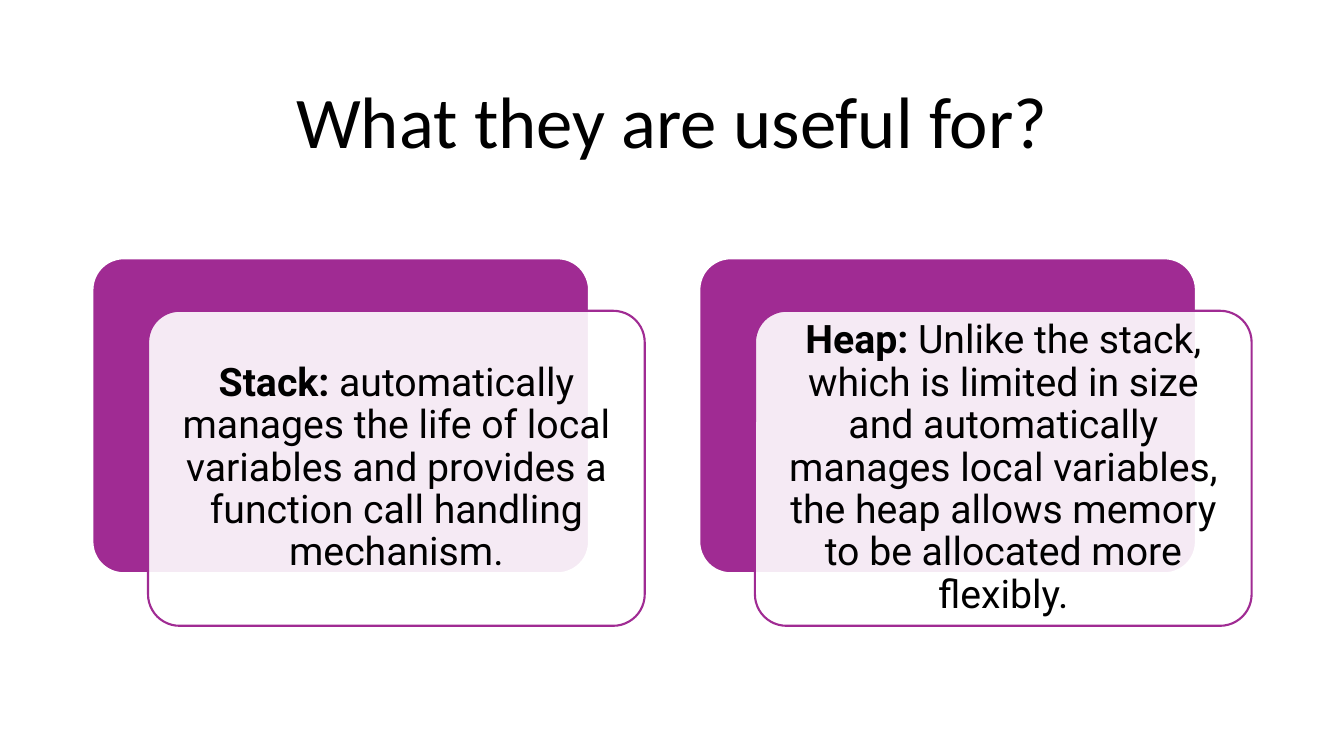
import pptx
import pptx.util
import pptx.dml.color
import pptx.enum.shapes
import pptx.enum.text
import pptx.oxml.ns
import lxml.etree

PX = 9525  # EMU in one px, 96 px to the inch
COLORS = {"purple": "A02B93", "white": "FFFFFF", "black": "000000"}

TITLE_BOX = (88, 59, 1104, 119)
CARDS_BOX = (88, 246, 1104, 350)
CARD_GAP = 52
FRONT_SHIFT = (53, 50)
TEXT_INSET = 9
TEXT_MARGIN = 11

CARDS = [
    ("Stack: ", "automatically manages the life of local variables and "
                "provides a function call handling mechanism."),
    ("Heap: ", "Unlike the stack, which is limited in size and automatically "
               "manages local variables, the heap allows memory to be "
               "allocated more flexibly."),
]


def emu(*lengths):
    return [pptx.util.Emu(n * PX) for n in lengths]


def rgb(name):
    return pptx.dml.color.RGBColor.from_string(COLORS[name])


def add_panel(s, box, fill, line, opacity=100):
    """Rounded rectangle, optionally see-through."""
    sp = s.shapes.add_shape(pptx.enum.shapes.MSO_SHAPE.ROUNDED_RECTANGLE, *emu(*box))
    sp.adjustments[0] = 0.1
    sp.shadow.inherit = False
    sp.fill.solid()
    sp.fill.fore_color.rgb = rgb(fill)
    sp.line.color.rgb = rgb(line)
    sp.line.width = pptx.util.Pt(1.5)
    if opacity < 100:
        qn = pptx.oxml.ns.qn
        color = sp._element.spPr.find(qn("a:solidFill")).find(qn("a:srgbClr"))
        lxml.etree.SubElement(color, qn("a:alpha"), val=str(opacity * 1000))


def add_text(s, box, runs, font, margin):
    """Centred paragraph; runs are (text, bold) pairs."""
    tf = s.shapes.add_textbox(*emu(*box)).text_frame
    frame_format = {"word_wrap": True,
                    "vertical_anchor": pptx.enum.text.MSO_ANCHOR.MIDDLE}
    for side in ("left", "top", "right", "bottom"):
        frame_format["margin_" + side] = emu(margin)[0]
    for name, value in frame_format.items():
        setattr(tf, name, value)
    p = tf.paragraphs[0]
    p.alignment = pptx.enum.text.PP_ALIGN.CENTER
    p.line_spacing = 0.9
    for text, bold in runs:
        r = p.add_run()
        r.text = text
        for name, value in {**font, "bold": bold}.items():
            setattr(r.font, name, value)
        r.font.color.rgb = rgb("black")


def add_title(s, box):
    font = {"name": "Calibri", "size": pptx.util.Pt(52)}
    add_text(s, box, [("What they are useful for?", False)], font, 5)


def add_card(s, box, heading, body):
    """Purple panel with a translucent panel shifted in front of it."""
    x, y, w, h = box
    dx, dy = FRONT_SHIFT
    pw, ph = w - dx, h - dy
    add_panel(s, (x, y, pw, ph), "purple", "white")
    add_panel(s, (x + dx, y + dy, pw, ph), "white", "purple", opacity=90)
    text_box = (x + dx + TEXT_INSET, y + dy + TEXT_INSET,
                pw - 2 * TEXT_INSET, ph - 2 * TEXT_INSET)
    font = {"name": "Roboto", "size": pptx.util.Pt(28)}
    add_text(s, text_box, [(heading, True), (body, False)], font, TEXT_MARGIN)


def add_cards(s, box):
    x, y, w, h = box
    card_w = (w - CARD_GAP * (len(CARDS) - 1)) // len(CARDS)
    for i, (heading, body) in enumerate(CARDS):
        add_card(s, (x + i * (card_w + CARD_GAP), y, card_w, h), heading, body)


def main():
    prs = pptx.Presentation()
    prs.slide_width, prs.slide_height = emu(1280, 720)
    s = prs.slides.add_slide(prs.slide_layouts[6])
    add_title(s, TITLE_BOX)
    add_cards(s, CARDS_BOX)
    prs.save("out.pptx")


if __name__ == "__main__":
    main()
